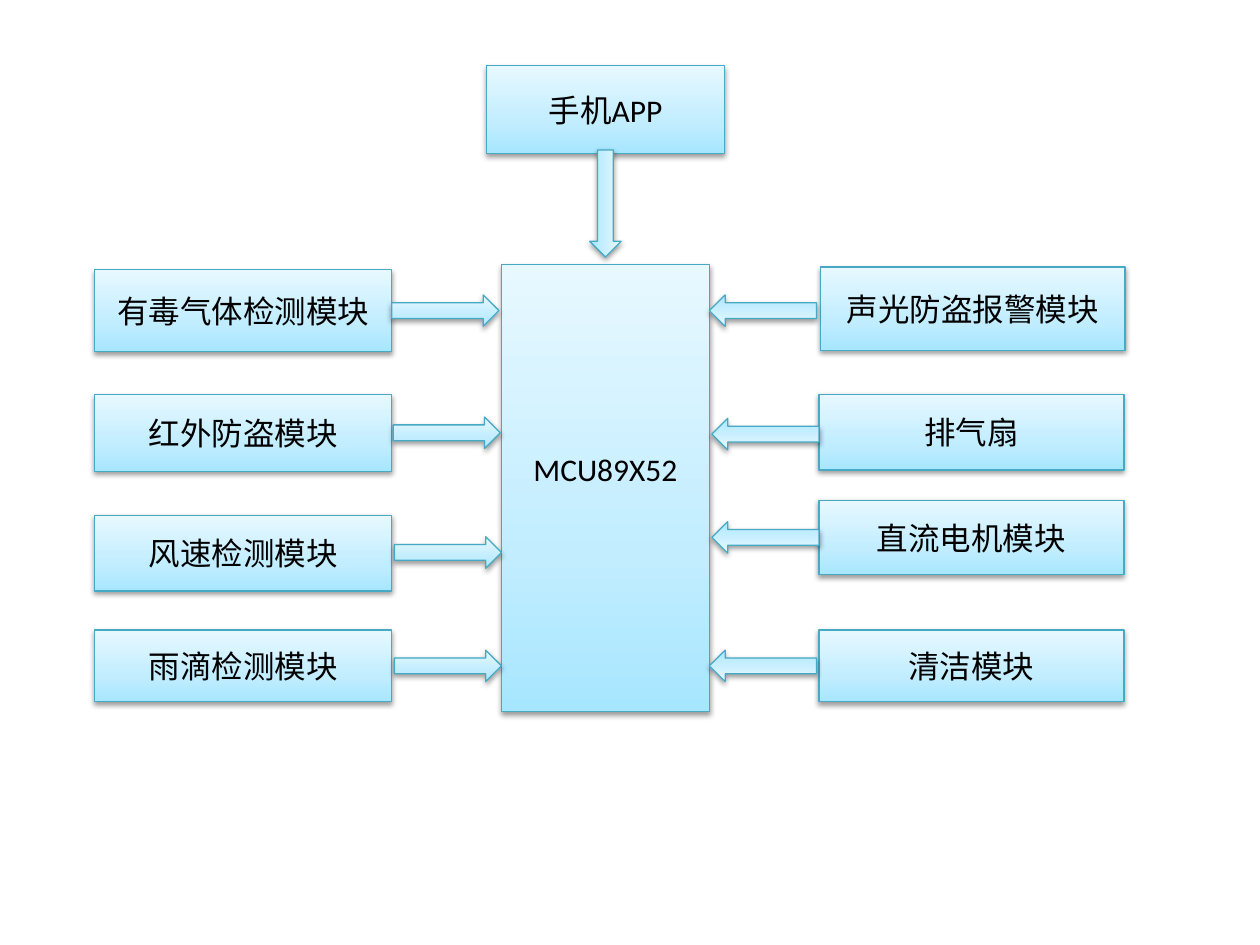
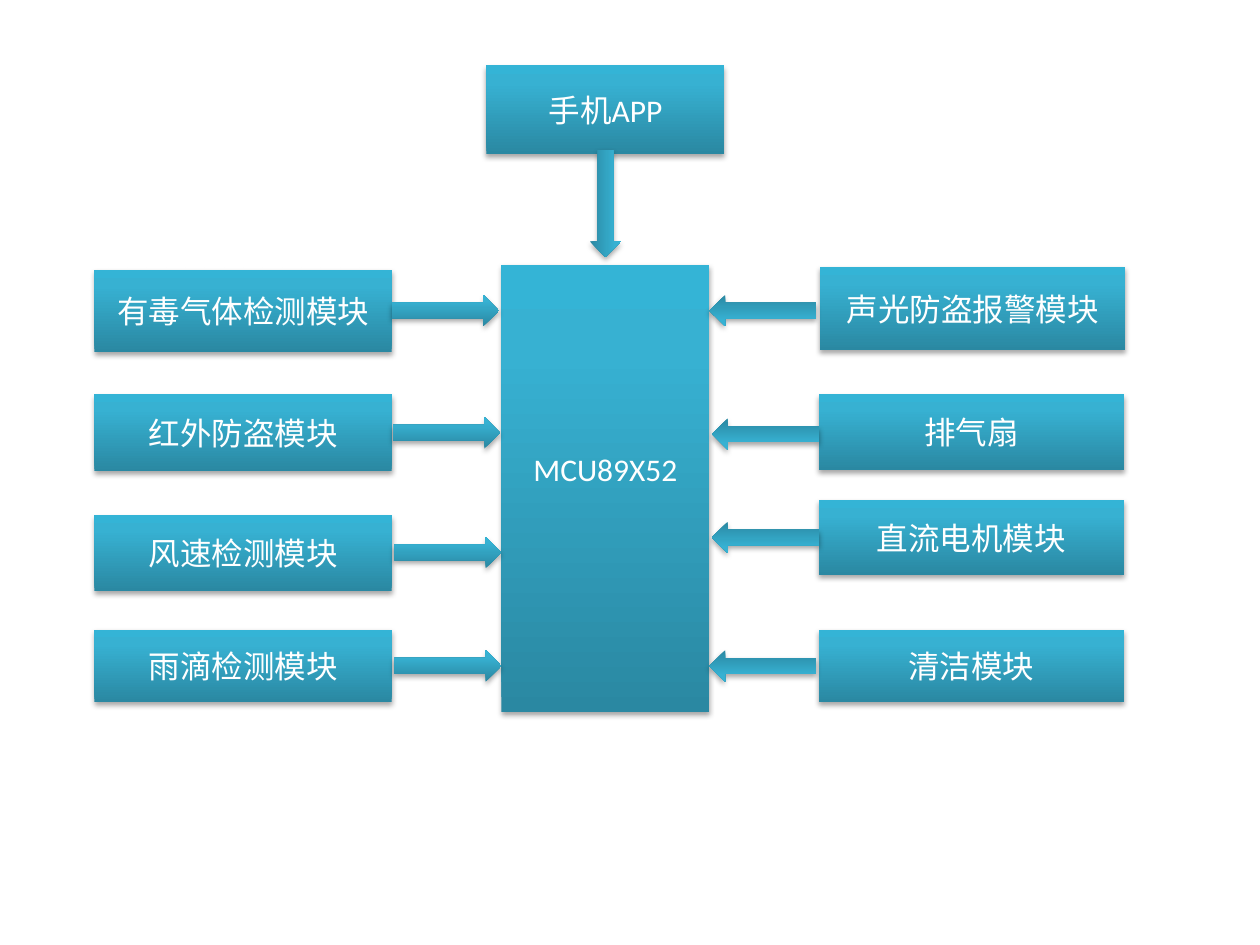
from lxml.etree import SubElement as Sub
from pptx import Presentation
from pptx.dml.color import RGBColor
from pptx.enum.shapes import MSO_SHAPE as Shape
from pptx.enum.text import MSO_ANCHOR as Anchor, PP_ALIGN as Align
from pptx.oxml.ns import qn
from pptx.util import Inches, Pt


def rgb(value):
    return RGBColor.from_string(value)


def add_styled(slide, kind, box, style):
    s = slide.shapes.add_shape(kind, *[Inches(v) for v in box])
    s.fill.gradient()
    s.fill.gradient_angle = 90
    stops = s._element.spPr.find(qn("a:gradFill")).find(qn("a:gsLst"))
    for old in list(stops):
        stops.remove(old)
    for pos, color in style["stops"]:
        gs = Sub(stops, qn("a:gs"), pos=str(pos * 1000))
        Sub(gs, qn("a:srgbClr"), val=color)
    if style["line"]:
        s.line.color.rgb = rgb(style["line"])
        s.line.width = Pt(0.75)
    else:
        s.line.fill.background()
    s.shadow.inherit = False
    effects = s._element.spPr.find(qn("a:effectLst"))
    shadow = Sub(effects, qn("a:outerShdw"), blurRad=str(Pt(3.1)),
                 dist=str(Pt(style["dist"])), dir="5400000", rotWithShape="0")
    black = Sub(shadow, qn("a:srgbClr"), val="000000")
    Sub(black, qn("a:alpha"), val=str(style["alpha"] * 1000))
    return s


light = {"stops": [(0, "A7E6FF"), (35, "C1EDFF"), (100, "E7F8FF")],
         "line": "46AAC5", "text": "000000", "alpha": 38, "dist": 1.6}
dark = {"stops": [(0, "2A88A2"), (80, "37B1D2"), (100, "34B4D6")],
        "line": None, "text": "FFFFFF", "alpha": 35, "dist": 1.8}

controller = "MCU89X52"
modules = [
    (controller, 3.98, 2.1, 1.65, 3.55),
    ("有毒气体检测模块", 0.75, 2.14, 2.36, 0.65),
    ("红外防盗模块", 0.75, 3.13, 2.36, 0.61),
    ("风速检测模块", 0.75, 4.09, 2.36, 0.6),
    ("雨滴检测模块", 0.75, 5, 2.36, 0.57),
    ("手机APP", 3.86, 0.52, 1.89, 0.7),
    ("声光防盗报警模块", 6.51, 2.12, 2.42, 0.66),
    ("排气扇", 6.5, 3.13, 2.42, 0.6),
    ("直流电机模块", 6.5, 3.97, 2.42, 0.59),
    ("清洁模块", 6.5, 5, 2.42, 0.57),
]
arrows = [
    (3.11, 2.34, 0), (3.12, 3.31, 0), (3.13, 4.26, 0), (3.13, 5.16, 0),
    (5.63, 2.34, 180), (5.65, 3.32, 180), (5.65, 4.14, 180), (5.63, 5.16, 180),
    (4.38, 1.49, 90),
]

prs = Presentation()
prs.slide_width = Inches(10)
prs.slide_height = Inches(7.5)

for style in (light, dark):
    slide = prs.slides.add_slide(prs.slide_layouts[6])

    for label, *box in modules:
        s = add_styled(slide, Shape.RECTANGLE, box, style)
        tf = s.text_frame
        tf.word_wrap = True
        tf.vertical_anchor = Anchor.MIDDLE
        if label == controller:
            tf.margin_bottom = Inches(0.35)
        tf.text = label
        p = tf.paragraphs[0]
        p.alignment = Align.CENTER
        r = p.runs[0]
        r.font.name = "Calibri"
        r.font.size = Pt(18)
        r.font.color.rgb = rgb(style["text"])

    for left, top, rotation in arrows:
        s = add_styled(slide, Shape.RIGHT_ARROW, (left, top, 0.85, 0.25), style)
        s.rotation = rotation

prs.save("out.pptx")
